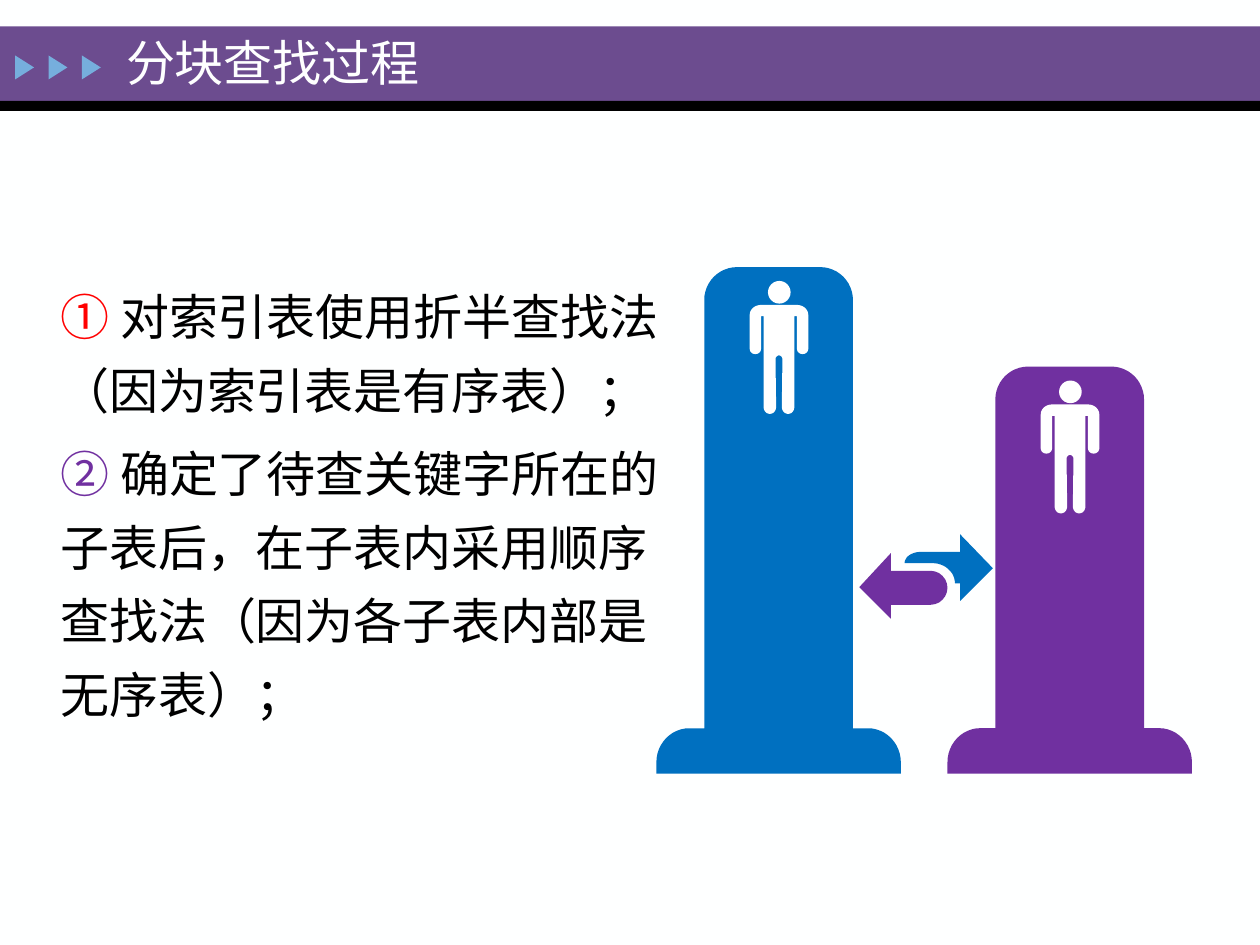
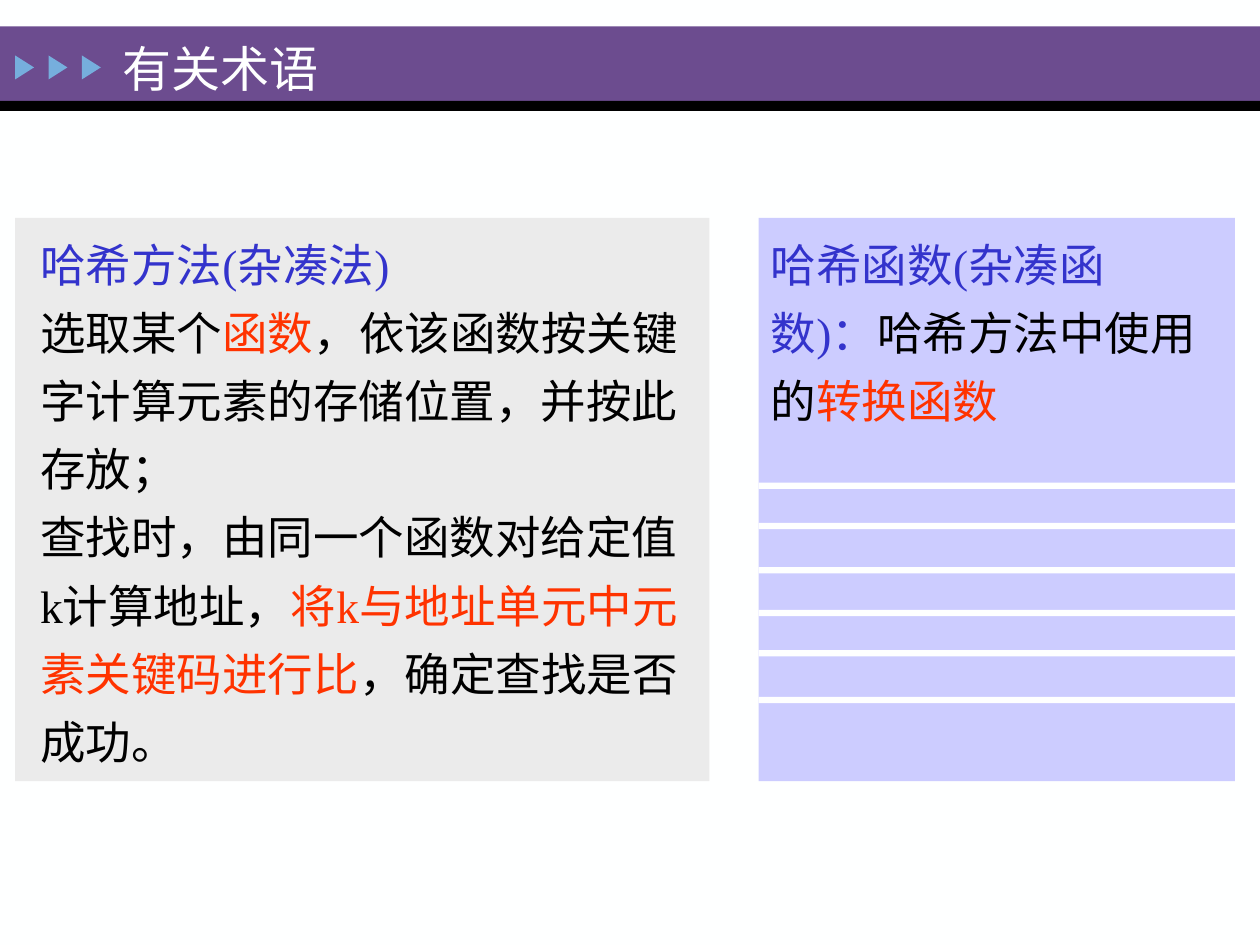
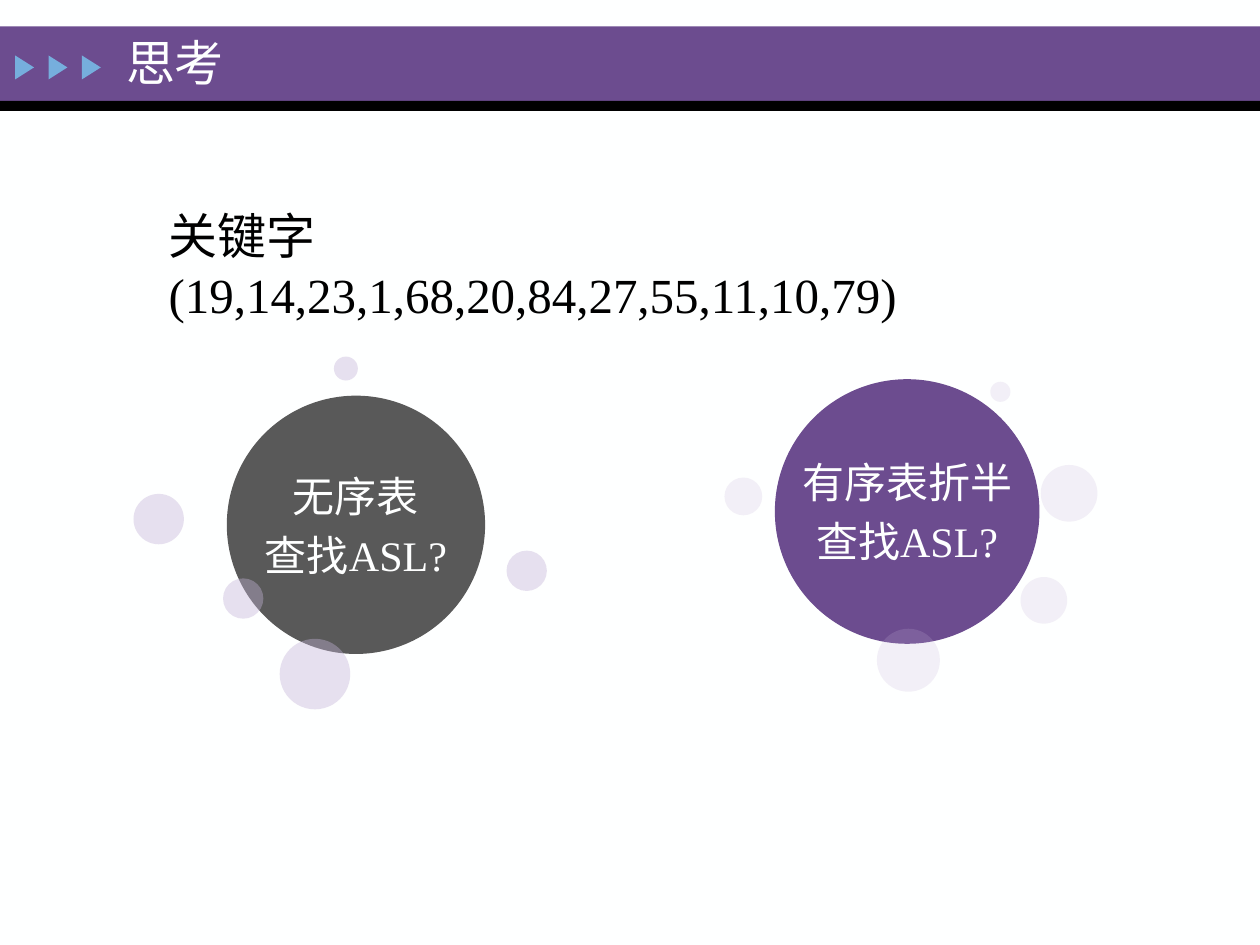
from dataclasses import dataclass
from math import cos, radians, sin

from lxml import etree
from pptx import Presentation, util as u
from pptx.dml.color import RGBColor
from pptx.enum import shapes, text
from pptx.oxml.ns import qn


@dataclass(frozen=True)
class Theme:
    font: str = "Times New Roman"
    title_size: int = 28
    body_size: int = 28
    term_size: int = 26
    circle_size: int = 24
    paper: str = "FEFFFF"
    white: str = "FFFFFF"
    ink: str = "000000"
    band: str = "6C4C8F"
    marker: str = "76AEDD"
    blue: str = "0070C0"
    purple: str = "7030A0"
    red: str = "FF0000"
    term: str = "3333CC"
    accent: str = "FF3300"
    grey_panel: str = "EBEBEB"
    lilac_panel: str = "CCCCFF"
    dark: str = "595959"
    bubble: str = "C4B3D7"


T = Theme()
COLS, ROWS = 100, 75
CELL = u.Inches(10) // COLS
PRESET = shapes.MSO_SHAPE


def cells(*lengths):
    """Turn grid cells into EMU."""
    return [round(n * CELL) for n in lengths]


def rgb(color):
    return RGBColor.from_string(color)


def paint(sp, color, alpha=None):
    """Give a shape a flat fill, no line and no shadow."""
    sp.shadow.inherit = False
    sp.line.fill.background()
    sp.fill.solid()
    sp.fill.fore_color.rgb = rgb(color)
    if alpha is not None:
        clr = sp.element.spPr.find(qn("a:solidFill"))[0]
        etree.SubElement(clr, qn("a:alpha"), val=str(alpha * 1000))
    return sp


def add_preset(s, kind, box, color, alpha=None):
    return paint(s.shapes.add_shape(kind, *cells(*box)), color, alpha)


def add_outline(s, x, y, points, color):
    """Draw a closed outline whose points are cells relative to (x, y)."""
    fine = [((x + px) * 100, (y + py) * 100) for px, py in points]
    builder = s.shapes.build_freeform(*fine[0], scale=CELL / 100)
    builder.add_line_segments(fine[1:], close=True)
    return paint(builder.convert_to_shape(), color)


def arc(cx, cy, rx, ry, start, end, steps=12):
    """Points along an ellipse; angles run clockwise from the right."""
    angles = [radians(start + (end - start) * i / steps) for i in range(steps + 1)]
    return [(cx + rx * cos(a), cy + ry * sin(a)) for a in angles]


def mirrored(half, width):
    return half + [(width - px, py) for px, py in reversed(half)]


def write(tf, paragraphs, size, line_spacing=None, gaps=(), align=None):
    """Fill a frame; each paragraph is a list of (text, colour) runs."""
    for i, runs in enumerate(paragraphs):
        p = tf.paragraphs[0] if i == 0 else tf.add_paragraph()
        p.font.name, p.font.size = T.font, u.Pt(size)
        if line_spacing:
            p.line_spacing = line_spacing
        if align is not None:
            p.alignment = align
        if i and gaps:
            p.space_before = u.Pt(gaps[i - 1])
        for words, color in runs:
            r = p.add_run()
            r.text = words
            r.font.color.rgb = rgb(color)


def add_text(s, box, paragraphs, size, **style):
    tf = s.shapes.add_textbox(*cells(*box)).text_frame
    tf.word_wrap = True
    write(tf, paragraphs, size, **style)


def add_titled_slide(prs, title, x=9, y=2.1):
    s = prs.slides.add_slide(prs.slide_layouts[5])
    add_preset(s, PRESET.RECTANGLE, (0, 2.1, COLS, 5.9), T.band)
    add_preset(s, PRESET.RECTANGLE, (0, 8, COLS, 0.8), T.ink)
    for i in range(3):
        marker = add_preset(s, PRESET.ISOSCELES_TRIANGLE,
                            (1 + 2.65 * i, 4.6, 1.9, 1.5), T.marker)
        marker.rotation = 90
    sp = s.shapes.title
    sp.element.getparent().append(sp.element)  # bring in front of the band
    sp.left, sp.top, sp.width, sp.height = cells(x, y, 81.2, 5.6)
    tf = sp.text_frame
    tf.auto_size = text.MSO_AUTO_SIZE.NONE
    tf.vertical_anchor = text.MSO_ANCHOR.MIDDLE
    write(tf, [[(title, T.paper)]], T.title_size, align=text.PP_ALIGN.LEFT)
    return s


def add_person(s, x, y):
    add_preset(s, PRESET.OVAL, (x + 1.45, y, 1.8, 1.8), T.white)
    half = [*arc(2.35, 4.3, 0.3, 0.3, 270, 180, 4),
            *arc(1.6, 8.1, 0.5, 0.55, 0, 180), (1.1, 0.9), (0.9, 0.9),
            *arc(0.45, 3.5, 0.45, 0.4, 0, 180),
            *arc(0.9, 0.8, 0.9, 0.8, 180, 270)]
    add_outline(s, x, y + 1.9, mirrored(half, 4.65), T.white)


def add_pedestal(s, x, y, height, color):
    """A rounded column on a rounded foot, with a person near its top."""
    foot = height - 3.6
    half = [(0, height), *arc(2.6, foot + 2.7, 2.6, 2.7, 180, 270), (3.8, foot),
            *arc(6.4, 2.6, 2.6, 2.6, 180, 270)]
    add_outline(s, x, y, mirrored(half, 19.4), color)
    add_person(s, x + 7.4, y + 1.1)


def add_exchange_arrows(s, x, y):
    left = [(0, 4.2), (2.5, 1.5), (2.5, 2.9), *arc(5.65, 4.25, 1.35, 1.35, -90, 90),
            (2.5, 5.6), (2.5, 6.7)]
    right = [*arc(4.9, 2.3, 1.3, 0.9, 180, 270), (8, 1.4), (8, 0), (10.6, 2.7),
             (8, 5.3), (8, 3.9), *arc(5.8, 3.9, 1.8, 1.6, 0, -90)]
    add_outline(s, x, y, left, T.purple)
    add_outline(s, x, y, right, T.blue)


def add_panel(s, box, color, text_box, paragraphs):
    add_preset(s, PRESET.RECTANGLE, box, color)
    add_text(s, text_box, paragraphs, T.term_size, line_spacing=1.25)


def add_bubbled_circle(s, x, y, size, color, lines, bubbles, alpha):
    """A captioned circle; bubbles are (dx, dy, size) from its corner."""
    sp = add_preset(s, PRESET.OVAL, (x, y, size, size), color)
    tf = sp.text_frame
    tf.margin_left = tf.margin_right = tf.margin_top = tf.margin_bottom = 0
    tf.word_wrap = False
    tf.vertical_anchor = text.MSO_ANCHOR.MIDDLE
    write(tf, [[(line, T.paper)] for line in lines], T.circle_size,
          gaps=[4.8], align=text.PP_ALIGN.CENTER)
    for dx, dy, d in bubbles:
        add_preset(s, PRESET.OVAL, (x + dx, y + dy, d, d), T.bubble, alpha)


def process_slide(prs):
    s = add_titled_slide(prs, "分块查找过程")
    add_text(s, (3.8, 21.1, 50.3, 36.8), [
        [("① ", T.red), ("对索引表使用折半查找法（因为索引表是有序表）；", T.ink)],
        [("② ", T.purple),
         ("确定了待查关键字所在的子表后，在子表内采用顺序查找法（因为各子表内部是无序表）；", T.ink)],
    ], T.body_size, line_spacing=1.25, gaps=[5.6])
    add_pedestal(s, 52.1, 21.2, 40.2, T.blue)
    add_pedestal(s, 75.2, 29.1, 32.3, T.purple)
    add_exchange_arrows(s, 68.2, 42.4)


def terms_slide(prs):
    s = add_titled_slide(prs, "有关术语", 8.7, 2.6)
    top, height = 17.3, 44.7
    add_panel(s, (1.2, top, 55.1, height), T.grey_panel, (2.2, 17.2, 53.5, 44.8), [
        [("哈希方法(杂凑法)", T.term)],
        [("选取某个", T.ink), ("函数", T.accent),
         ("，依该函数按关键字计算元素的存储位置，并按此存放；", T.ink)],
        [("查找时，由同一个函数对给定值k计算地址，", T.ink),
         ("将k与地址单元中元素关键码进行比", T.accent),
         ("，确定查找是否成功。", T.ink)],
    ])
    add_panel(s, (60.2, top, 37.8, height), T.lilac_panel, (60.2, 17.2, 36.6, 17.4), [
        [("哈希函数(杂凑函数)：", T.term), ("哈希方法中使用的", T.ink),
         ("转换函数", T.accent)],
    ])
    for row in (38.3, 41.5, 45, 48.4, 51.6, 55.3):
        add_preset(s, PRESET.RECTANGLE, (60.2, row, 37.8, 0.5), T.paper)


def question_slide(prs):
    s = add_titled_slide(prs, "思考")
    add_text(s, (12.4, 15.8, 69, 10.4),
             [[("关键字(19,14,23,1,68,20,84,27,55,11,10,79)", T.ink)]], T.body_size)
    add_bubbled_circle(
        s, 61.5, 30.1, 21, T.band, ["有序表折半", "查找ASL?"],
        [(-4, 7.8, 3), (8.1, 19.8, 5), (17.1, 0.2, 1.6), (19.5, 15.7, 3.7),
         (21.1, 6.8, 4.5)], 20)
    add_bubbled_circle(
        s, 18, 31.4, 20.5, T.dark, ["无序表", "查找ASL?"],
        [(22.2, 12.3, 3.2), (-0.3, 14.5, 3.2), (4.2, 19.3, 5.6), (8.5, -3.1, 1.9),
         (-7.4, 7.8, 4)], 40)


def main():
    prs = Presentation()
    prs.slide_width, prs.slide_height = cells(COLS, ROWS)
    fill = prs.slide_master.background.fill
    fill.solid()
    fill.fore_color.rgb = rgb(T.paper)
    for build in (process_slide, terms_slide, question_slide):
        build(prs)
    prs.save("out.pptx")


if __name__ == "__main__":
    main()
